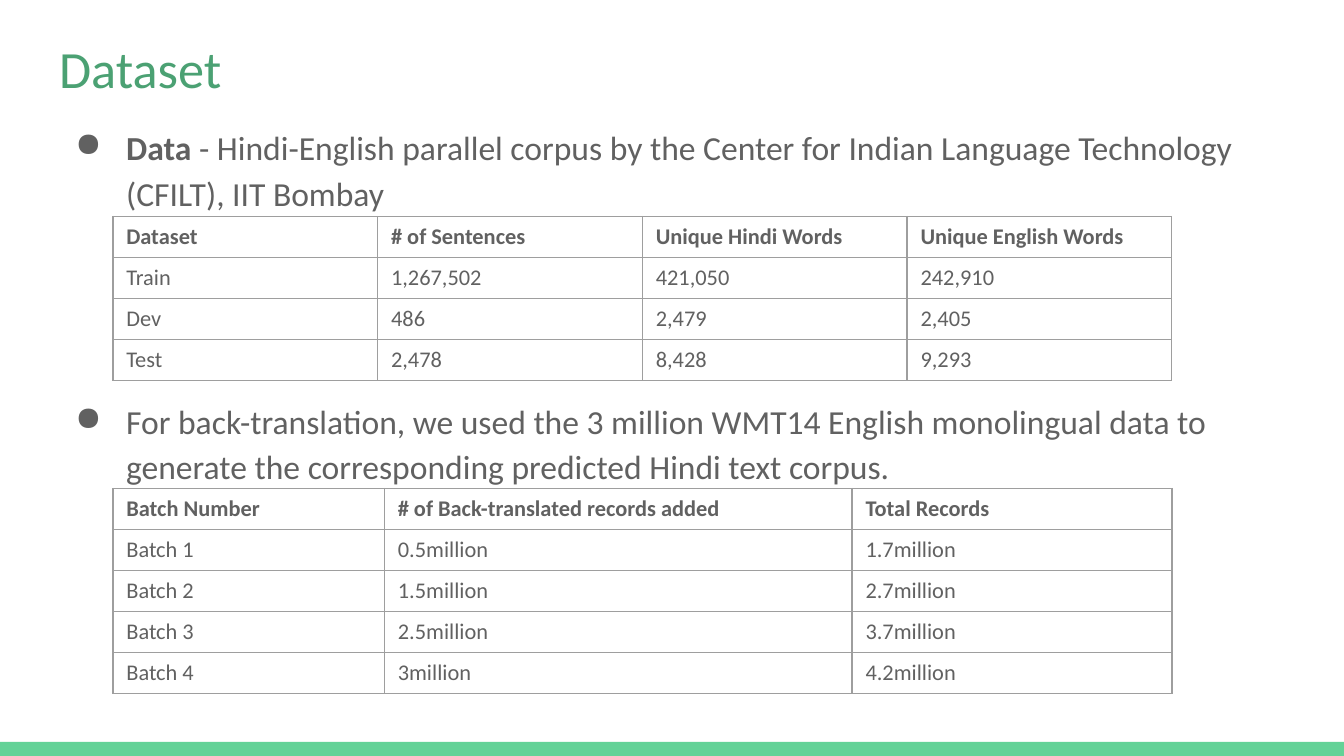
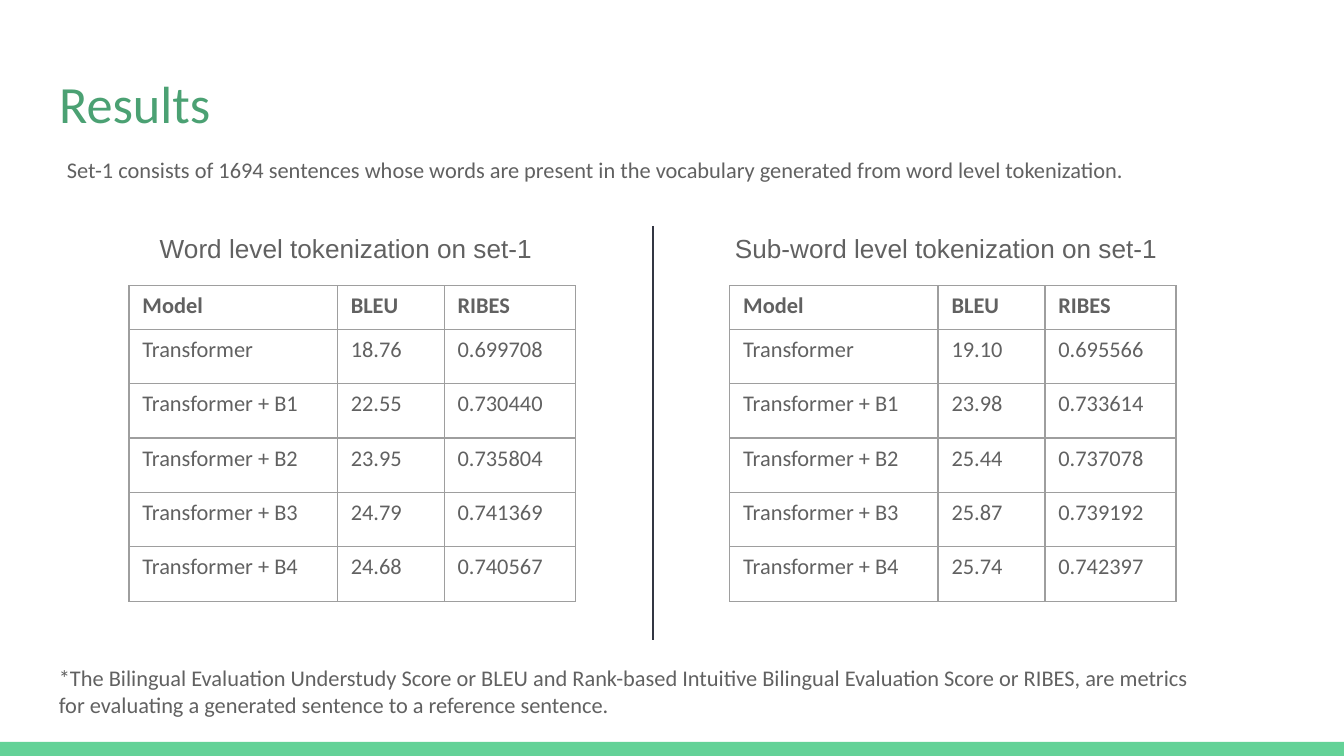
from lxml import etree
from pptx import Presentation
from pptx import util as u
from pptx.dml.color import RGBColor
from pptx.enum import shapes, text
from pptx.oxml.ns import qn

COLUMNS, ROWS = 100, 56.25
UNIT = u.Inches(0.1)
BODY, GREEN, BAND, RULE, DIVIDER = "616161", "4BA173", "63D297", "9E9E9E", "333643"
SANS, HEADING = "Calibri", "Arial"

SENTENCES = [
    ("Dataset", "# of Sentences", "Unique Hindi Words", "Unique English Words"),
    ("Train", "1,267,502", "421,050", "242,910"),
    ("Dev", "486", "2,479", "2,405"),
    ("Test", "2,478", "8,428", "9,293"),
]
BATCHES = [
    ("Batch Number", "# of Back-translated records added", "Total Records"),
    ("Batch 1", "0.5million", "1.7million"),
    ("Batch 2", "1.5million", "2.7million"),
    ("Batch 3", "2.5million", "3.7million"),
    ("Batch 4", "3million", "4.2million"),
]
MODELS = ["Transformer"] + [f"Transformer + B{batch}" for batch in range(1, 5)]
WORD_SCORES = [("18.76", "0.699708"), ("22.55", "0.730440"), ("23.95", "0.735804"),
               ("24.79", "0.741369"), ("24.68", "0.740567")]
SUBWORD_SCORES = [("19.10", "0.695566"), ("23.98", "0.733614"), ("25.44", "0.737078"),
                  ("25.87", "0.739192"), ("25.74", "0.742397")]


def color(value):
    """Turn a hex string into a colour."""
    return RGBColor.from_string(value)


def grid(*cells):
    """Turn grid columns and rows into lengths."""
    return [u.Emu(round(cell * UNIT)) for cell in cells]


def add_run(paragraph, words, size, ink=BODY, face=SANS, bold=False):
    """Add one formatted run to a paragraph."""
    run = paragraph.add_run()
    run.text = words
    run.font.size, run.font.name, run.font.bold = u.Pt(size), face, bold
    run.font.color.rgb = color(ink)


def add_band(prs, slide):
    """Put the green footer band on the master, behind its placeholders."""
    band = slide.shapes.add_shape(shapes.MSO_SHAPE.RECTANGLE, *grid(0, 55.2, COLUMNS, 1.05))
    band.shadow.inherit = False
    band.fill.solid()
    band.fill.fore_color.rgb = color(BAND)
    band.line.fill.background()
    band.element.nvSpPr.cNvPr.set("id", "99")
    prs.slide_master.element.cSld.spTree.insert(2, band.element)


def add_slide(prs, title, top):
    """Add a title-only slide with its title set at the given row."""
    slide = prs.slides.add_slide(prs.slide_layouts[5])
    heading = slide.shapes.title
    heading.left, heading.top, heading.width, heading.height = grid(3.4, top, 93.2, 6.3)
    frame = heading.text_frame
    frame.margin_left = frame.margin_right = frame.margin_top = frame.margin_bottom = UNIT
    frame.vertical_anchor = text.MSO_ANCHOR.TOP
    frame.auto_size = text.MSO_AUTO_SIZE.NONE
    frame.paragraphs[0].alignment = text.PP_ALIGN.LEFT
    add_run(frame.paragraphs[0], title, 28, GREEN)
    return slide


def add_text(slide, place, words, size=12, face=SANS, wrap=True):
    """Add a one-paragraph text box that grows with its text."""
    frame = slide.shapes.add_textbox(*grid(*place)).text_frame
    frame.word_wrap = wrap
    frame.auto_size = text.MSO_AUTO_SIZE.SHAPE_TO_FIT_TEXT
    add_run(frame.paragraphs[0], words, size, face=face)


def set_bullet(paragraph):
    """Give a paragraph a round hanging bullet."""
    props = paragraph._p.get_or_add_pPr()
    props.set("marL", str(u.Inches(0.5)))
    props.set("indent", str(-u.Inches(0.38)))
    tint = etree.SubElement(props, qn("a:buClr"))
    etree.SubElement(tint, qn("a:srgbClr"), val=BODY)
    etree.SubElement(props, qn("a:buChar"), char="●")


def add_bullets(slide, place, points, gap):
    """Add bulleted points, each a list of (words, bold), with a gap in points between."""
    frame = slide.shapes.add_textbox(*grid(*place)).text_frame
    frame.word_wrap = True
    frame.margin_top = frame.margin_bottom = UNIT
    for index, point in enumerate(points):
        paragraph = frame.add_paragraph() if index else frame.paragraphs[0]
        set_bullet(paragraph)
        paragraph.line_spacing = 1.14
        if index:
            paragraph.space_before = u.Pt(gap)
        for words, bold in point:
            add_run(paragraph, words, 18, bold=bold)


def set_borders(cell):
    """Draw a thin grey rule on all four sides of a cell."""
    props = cell._tc.get_or_add_tcPr()
    for side in "LRTB":
        edge = etree.SubElement(props, qn(f"a:ln{side}"), w=str(u.Pt(0.75)))
        fill = etree.SubElement(edge, qn("a:solidFill"))
        etree.SubElement(fill, qn("a:srgbClr"), val=RULE)


def add_table(slide, left, top, widths, heights, records):
    """Add a ruled table whose first record is a bold header."""
    place = grid(left, top, sum(widths), sum(heights))
    table = slide.shapes.add_table(len(records), len(widths), *place).table
    table.horz_banding = False
    for column, width in zip(table.columns, grid(*widths)):
        column.width = width
    for row, height, record in zip(table.rows, grid(*heights), records):
        row.height = height
        for cell, words in zip(row.cells, record):
            set_borders(cell)
            cell.fill.background()
            add_run(cell.text_frame.paragraphs[0], words, 12, bold=record is records[0])


def add_divider(slide, column, top, bottom):
    """Draw a thin vertical line."""
    divider = slide.shapes.add_connector(
        shapes.MSO_CONNECTOR.STRAIGHT, *grid(column, top, column, bottom))
    divider.line.color.rgb = color(DIVIDER)
    divider.line.width = u.Pt(0.75)
    etree.SubElement(divider.element.spPr, qn("a:effectLst"))


def add_scores(slide, left, scores):
    """Add a table of model scores."""
    records = [("Model", "BLEU", "RIBES")]
    records += [(model, *score) for model, score in zip(MODELS, scores)]
    add_table(slide, left, 21.25, [15.5, 7.95, 9.75], [3.25] + [4.05] * 5, records)


def build_dataset(prs):
    """Build the dataset slide."""
    slide = add_slide(prs, "Dataset", 1.7)
    add_band(prs, slide)
    add_bullets(slide, (3.4, 8, 93.2, 46.5), [
        [("Data ", True), ("- Hindi-English parallel corpus by the Center for Indian "
                           "Language Technology (CFILT), IIT Bombay", False)],
        [("For back-translation, we used the 3 million WMT14 English monolingual data "
          "to generate the corresponding predicted Hindi text corpus.", False)],
    ], gap=97.5)
    add_table(slide, 8.4, 16.1, [19.7] * 4, [3.05] * 4, SENTENCES)
    add_table(slide, 8.4, 36.35, [20.2, 34.8, 23.8], [3.05] * 5, BATCHES)


def build_results(prs):
    """Build the results slide."""
    slide = add_slide(prs, "Results", 4.3)
    add_scores(slide, 9.6, WORD_SCORES)
    add_scores(slide, 54.3, SUBWORD_SCORES)
    add_text(slide, (10.9, 16.8, 29.9, 3.4), "Word level tokenization on set-1",
             14, HEADING, wrap=False)
    add_text(slide, (53.7, 16.8, 33.6, 3.4), "Sub-word level tokenization on set-1",
             14, HEADING, wrap=False)
    add_divider(slide, 48.6, 16.8, 47.6)
    add_text(slide, (3.4, 48.9, 88.3, 5),
             "*The Bilingual Evaluation Understudy Score or BLEU and Rank-based Intuitive "
             "Bilingual Evaluation Score or RIBES, are metrics for evaluating a generated "
             "sentence to a reference sentence.")
    add_text(slide, (4, 11.1, 89.2, 3),
             "Set-1 consists of 1694 sentences whose words are present in the vocabulary "
             "generated from word level tokenization.")


def main():
    """Build and save the presentation."""
    prs = Presentation()
    prs.slide_width, prs.slide_height = grid(COLUMNS, ROWS)
    build_dataset(prs)
    build_results(prs)
    prs.save("out.pptx")


if __name__ == "__main__":
    main()
